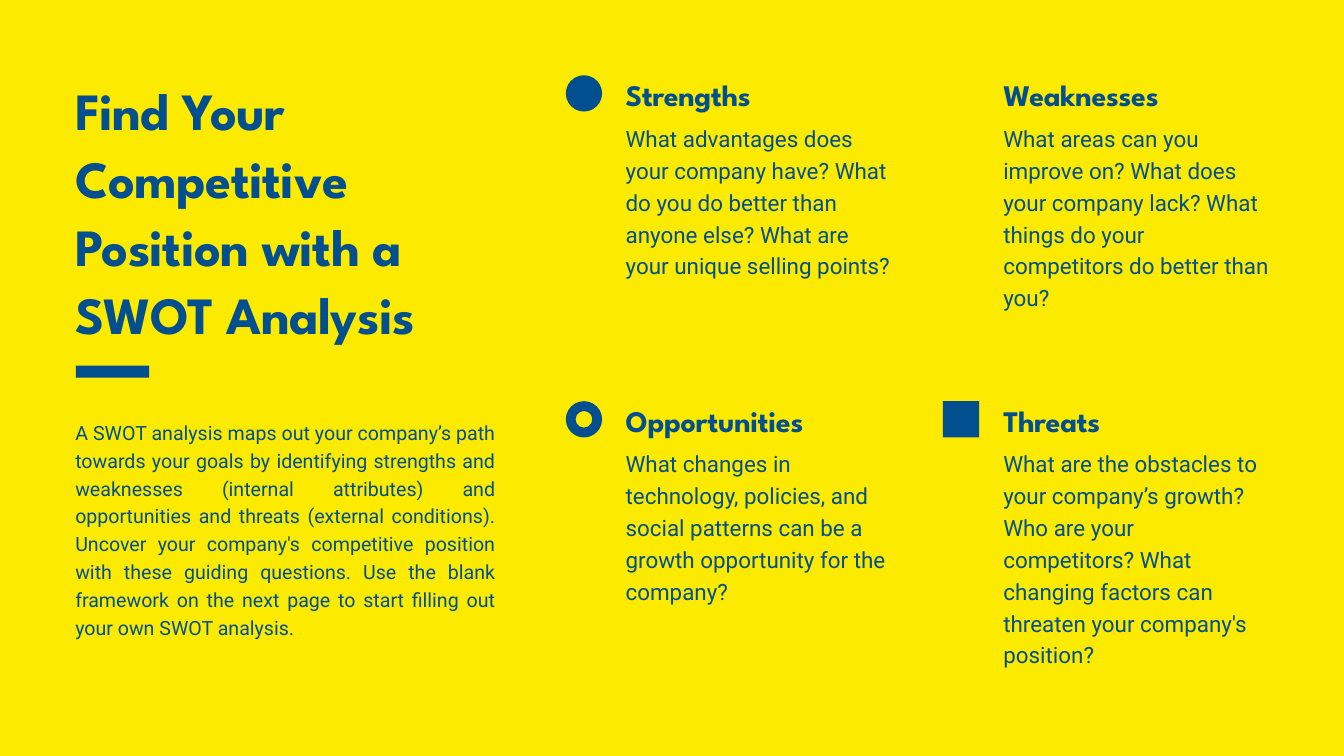
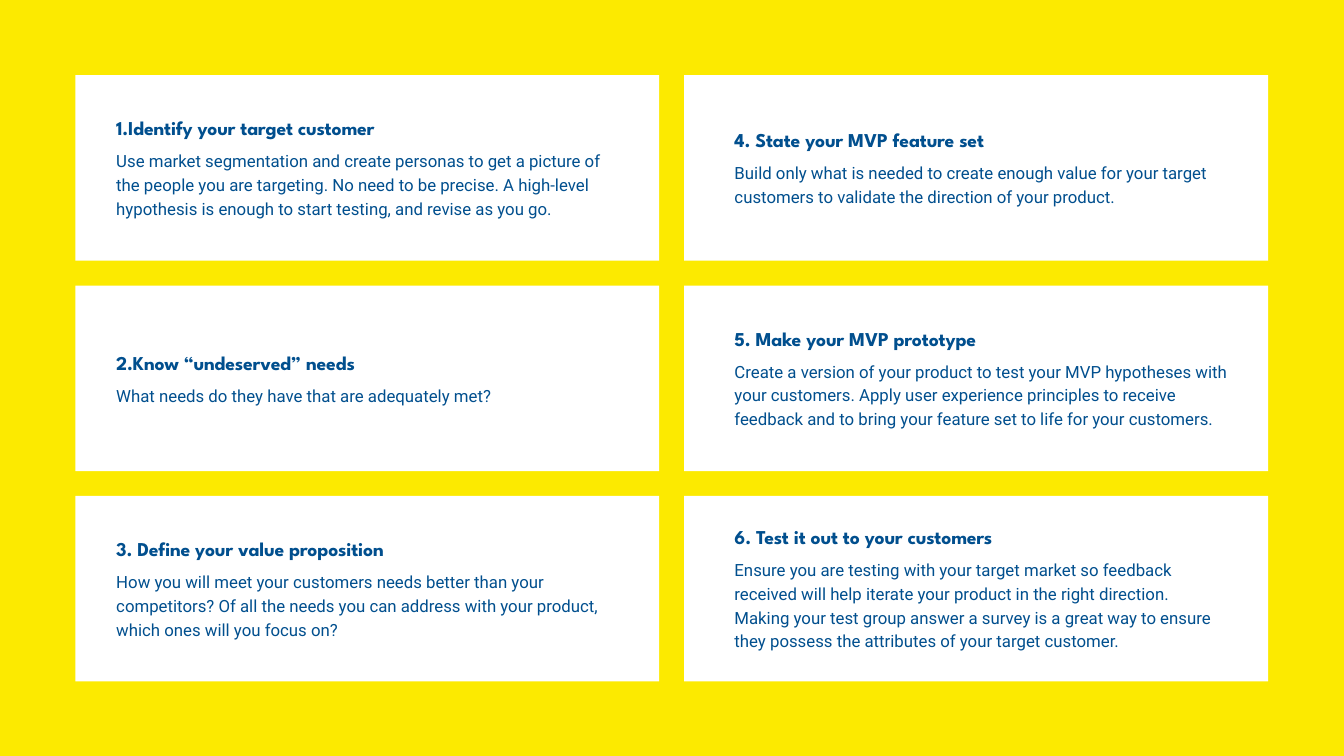
"""Build a SWOT analysis slide and a slide of six MVP steps."""
from dataclasses import dataclass

import pptx
import pptx.dml.color
import pptx.enum.shapes
import pptx.enum.text
import pptx.shapes.autoshape
import pptx.slide
import pptx.util

PX = 9144
YELLOW = pptx.dml.color.RGBColor(0xFC, 0xEA, 0x00)
BLUE = pptx.dml.color.RGBColor(0x01, 0x4F, 0x8E)
WHITE = pptx.dml.color.RGBColor(0xFF, 0xFF, 0xFF)
SHAPE = pptx.enum.shapes.MSO_SHAPE
ALIGN = pptx.enum.text.PP_ALIGN
DISPLAY_FONT = "League Spartan"
BODY_FONT = "Roboto"


@dataclass(frozen=True)
class Box:
    left: int
    top: int
    width: int
    height: int

    def emu(self) -> tuple[int, int, int, int]:
        return self.left * PX, self.top * PX, self.width * PX, self.height * PX


@dataclass(frozen=True)
class TextStyle:
    font: str
    size: int
    leading: float
    bold: bool = False
    tracking: int = 0
    align: ALIGN = ALIGN.LEFT


@dataclass(frozen=True)
class Topic:
    heading: str
    body: str
    lines: int


TITLE = TextStyle(DISPLAY_FONT, 56, 72.8, True, -60)
INTRO = TextStyle(BODY_FONT, 21, 29.8, align=ALIGN.JUSTIFY)
SWOT_HEADING = TextStyle(DISPLAY_FONT, 32, 41.6, True, -30)
SWOT_BODY = TextStyle(BODY_FONT, 24, 34.1)
STEP_HEADING = TextStyle(DISPLAY_FONT, 21, 27.3, True, -20)
STEP_BODY = TextStyle(BODY_FONT, 18, 25.6)

SWOT_COLUMNS = (931, 1493)
SWOT_ROWS = (110, 594)
SWOT_BODY_OFFSET = 69
MARKER_SIZE = 54

CARD_COLUMNS = (112, 1018)
CARD_TEXT_LEFTS = (173, 1093)
CARD_TOP, CARD_STEP = 112, 313
CARD_WIDTH, CARD_HEIGHT = 869, 276
CARD_TEXT_CENTER = 136
STEP_BODY_OFFSET, STEP_LINE = 49, 35.5

INTRO_TEXT = (
    "A SWOT analysis maps out your company’s path towards your goals by identifying "
    "strengths and weaknesses (internal attributes) and opportunities and threats "
    "(external conditions). Uncover your company's competitive position with these "
    "guiding questions. Use the blank framework on the next page to start filling "
    "out your own SWOT analysis."
)

SWOT_TOPICS = (
    Topic("Strengths", "What advantages does your company have? What do you do better "
          "than anyone else? What are your unique selling points?", 5),
    Topic("Weaknesses", "What areas can you improve on? What does your company lack? "
          "What things do your competitors do better than you?", 6),
    Topic("Opportunities", "What changes in technology, policies, and social patterns "
          "can be a growth opportunity for the company?", 5),
    Topic("Threats", "What are the obstacles to your company’s growth? Who are your "
          "competitors? What changing factors can threaten your company's position?", 7),
)

STEPS = (
    Topic("1.Identify your target customer", "Use market segmentation and create "
          "personas to get a picture of the people you are targeting. No need to be "
          "precise. A high-level hypothesis is enough to start testing, and revise as "
          "you go.", 3),
    Topic("2.Know “undeserved” needs",
          "What needs do they have that are adequately met?", 1),
    Topic("3. Define your value proposition", "How you will meet your customers needs "
          "better than your competitors? Of all the needs you can address with your "
          "product, which ones will you focus on?", 3),
    Topic("4. State your MVP feature set", "Build only what is needed to create enough "
          "value for your target customers to validate the direction of your product.", 2),
    Topic("5. Make your MVP prototype", "Create a version of your product to test your "
          "MVP hypotheses with your customers. Apply user experience principles to "
          "receive feedback and to bring your feature set to life for your customers.", 3),
    Topic("6. Test it out to your customers", "Ensure you are testing with your target "
          "market so feedback received will help iterate your product in the right "
          "direction. Making your test group answer a survey is a great way to ensure "
          "they possess the attributes of your target customer.", 4),
)


def add_page(deck: pptx.presentation.Presentation, layout: int) -> pptx.slide.Slide:
    page = deck.slides.add_slide(deck.slide_layouts[layout])
    page.background.fill.solid()
    page.background.fill.fore_color.rgb = YELLOW
    return page


def write(frame: pptx.text.text.TextFrame, text: str, style: TextStyle) -> None:
    frame.word_wrap = True
    frame.auto_size = pptx.enum.text.MSO_AUTO_SIZE.NONE
    frame.vertical_anchor = pptx.enum.text.MSO_ANCHOR.TOP
    frame.margin_left = frame.margin_top = frame.margin_right = frame.margin_bottom = 0
    para = frame.paragraphs[0]
    para.text = text
    para.alignment = style.align
    para.line_spacing = pptx.util.Pt(style.leading)
    para.space_before = pptx.util.Pt(0)
    para.font.name = style.font
    para.font.size = pptx.util.Pt(style.size)
    para.font.bold = style.bold
    para.font.color.rgb = BLUE
    if style.tracking:
        para._p.get_or_add_pPr().get_or_add_defRPr().set("spc", str(style.tracking))


def add_text(page: pptx.slide.Slide, box: Box, text: str, style: TextStyle) -> None:
    write(page.shapes.add_textbox(*box.emu()).text_frame, text, style)


def add_block(page: pptx.slide.Slide, kind: SHAPE, box: Box,
              color: pptx.dml.color.RGBColor) -> pptx.shapes.autoshape.Shape:
    block = page.shapes.add_shape(kind, *box.emu())
    block.shadow.inherit = False
    block.fill.solid()
    block.fill.fore_color.rgb = color
    block.line.fill.background()
    return block


def add_topic(page: pptx.slide.Slide, topic: Topic, heading_box: Box, body_offset: int,
              heading_style: TextStyle, body_style: TextStyle) -> None:
    add_text(page, heading_box, topic.heading, heading_style)
    body_height = round(topic.lines * body_style.leading * 100 / 72)
    body_box = Box(heading_box.left, heading_box.top + body_offset,
                   heading_box.width, body_height)
    add_text(page, body_box, topic.body, body_style)


def build_swot(deck: pptx.presentation.Presentation) -> None:
    page = add_page(deck, 5)
    title = page.shapes.title
    title.left, title.top, title.width, title.height = Box(112, 109, 625, 400).emu()
    write(title.text_frame, "Find Your Competitive Position with a SWOT Analysis", TITLE)
    add_text(page, Box(112, 620, 625, 324), INTRO_TEXT, INTRO)
    add_block(page, SHAPE.RECTANGLE, Box(113, 544, 109, 18), BLUE)

    add_block(page, SHAPE.OVAL, Box(842, 112, MARKER_SIZE, MARKER_SIZE), BLUE)
    ring = add_block(page, SHAPE.DONUT, Box(842, 597, MARKER_SIZE, MARKER_SIZE), BLUE)
    ring.adjustments[0] = 0.27
    add_block(page, SHAPE.RECTANGLE, Box(1403, 597, MARKER_SIZE, MARKER_SIZE), BLUE)

    for index, topic in enumerate(SWOT_TOPICS):
        row, column = divmod(index, 2)
        heading_box = Box(SWOT_COLUMNS[column], SWOT_ROWS[row], 395, 55)
        add_topic(page, topic, heading_box, SWOT_BODY_OFFSET, SWOT_HEADING, SWOT_BODY)


def build_steps(deck: pptx.presentation.Presentation) -> None:
    page = add_page(deck, 6)
    for index, step in enumerate(STEPS):
        column, row = divmod(index, 3)
        top = CARD_TOP + row * CARD_STEP
        card = Box(CARD_COLUMNS[column], top, CARD_WIDTH, CARD_HEIGHT)
        add_block(page, SHAPE.RECTANGLE, card, WHITE)
        text_height = STEP_BODY_OFFSET + step.lines * STEP_LINE
        heading_top = round(top + CARD_TEXT_CENTER - text_height / 2)
        heading_box = Box(CARD_TEXT_LEFTS[column], heading_top, 734, 37)
        add_topic(page, step, heading_box, STEP_BODY_OFFSET, STEP_HEADING, STEP_BODY)


def main() -> None:
    deck = pptx.Presentation()
    deck.slide_width, deck.slide_height = 2000 * PX, 1125 * PX
    build_swot(deck)
    build_steps(deck)
    deck.save("out.pptx")


if __name__ == "__main__":
    main()
